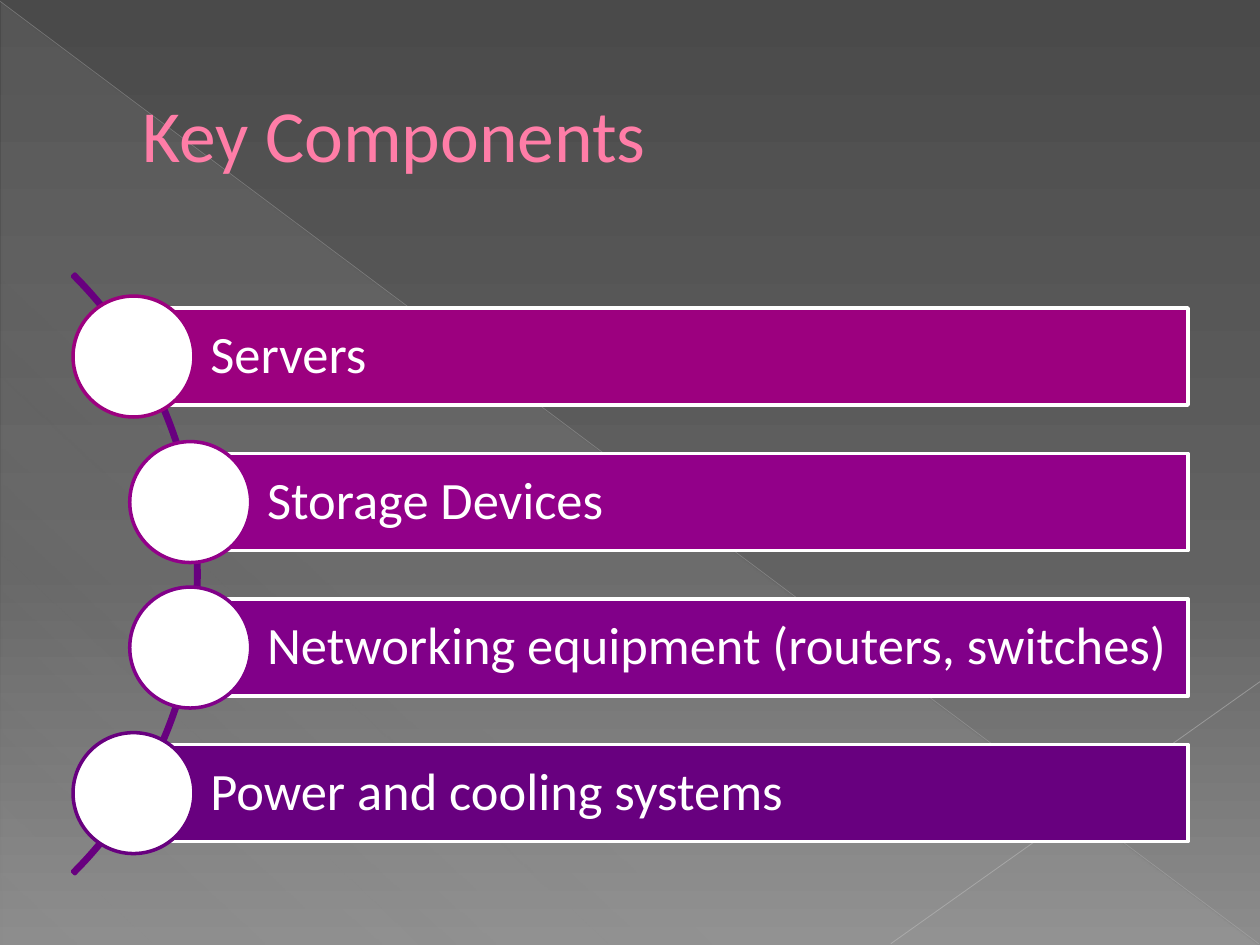
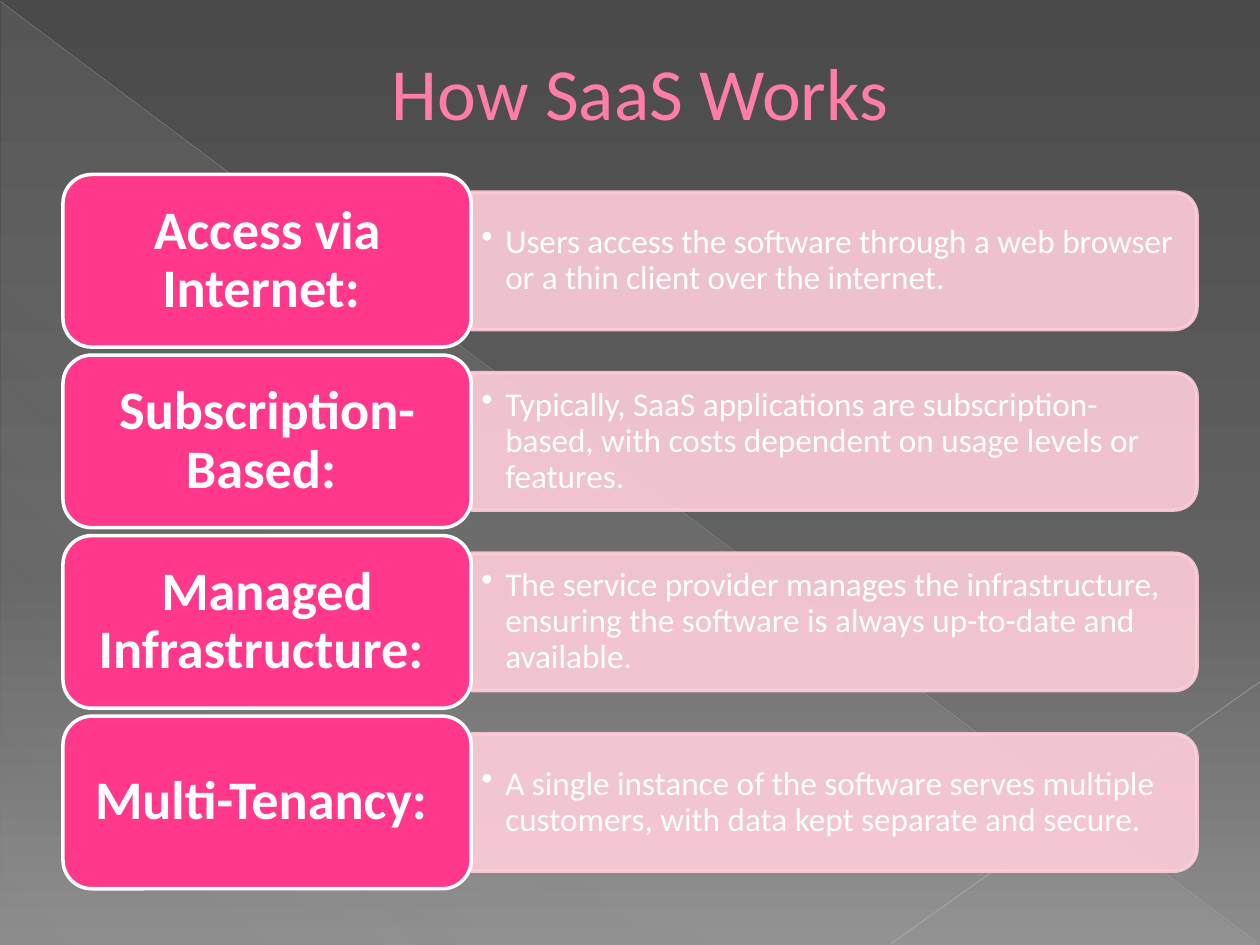
from lxml import etree
from pptx import Presentation
from pptx.dml.color import RGBColor
from pptx.enum import shapes, text
from pptx.oxml import ns, parse_xml
from pptx.util import Inches, Pt

FONT = "Calibri"
WHITE, PINK, TITLE_PINK, PALE_PINK, ARC = "FFFFFF", "FF388C", "FF7DA7", "FFCEDA", "68007F"

# Gradient stops: position %, colour, opacity %
BACKGROUND = [(0, "4A4A4A", 100), (60, "626262", 100), (100, "8C8C8C", 100)]
SHEEN = [(0, "D2D2D2", 10), (70, "D2D2D2", 8), (100, "D2D2D2", 1)]
# Start, end, colour, width, opacity %
DIAGONALS = [
    ((0, 0.01), (9.99, 7.49), "BFBFBF", 0.39, 35),
    ((10, 5.41), (7.07, 7.49), "C6C6C6", 0.47, 45),
]

# Text, colour, left edge of the bar
COMPONENTS = [
    ("Servers", "9C007F", 1.06),
    ("Storage Devices", "920089", 1.51),
    ("Networking equipment (routers, switches)", "810089", 1.51),
    ("Power and cooling systems", "68007F", 1.06),
]
SAAS_STEPS = [
    ("Access via Internet: ",
     "Users access the software through a web browser or a thin client over the internet."),
    ("Subscription-Based: ",
     "Typically, SaaS applications are subscription-based, with costs dependent on "
     "usage levels or features."),
    ("Managed Infrastructure: ",
     "The service provider manages the infrastructure, ensuring the software is always "
     "up-to-date and available."),
    ("Multi-Tenancy: ",
     "A single instance of the software serves multiple customers, with data kept "
     "separate and secure."),
]

BAR_FORMAT = dict(size=30, insets=(0.61, 0.08, 0.08, 0.08), spacing=0.9)
LABEL_FORMAT = dict(size=31, insets=(0.13, 0.06, 0.13, 0.06), spacing=0.9, bold=True,
                    align=text.PP_ALIGN.CENTER)
DETAIL_FORMAT = dict(size=19, insets=(0.08, 0.04, 0.08, 0.04), spacing=0.9)
TITLE_FORMAT = dict(size=42, insets=(0.63, 0.05, 0.1, 0.05), color=TITLE_PINK)


def rgb(color):
    return RGBColor.from_string(color)


def box(*lengths):
    return [Inches(n) for n in lengths]


def gradient(stops, angle):
    gs = "".join(
        f'<a:gs pos="{pos * 1000}"><a:srgbClr val="{color}">'
        f'<a:alpha val="{opacity * 1000}"/></a:srgbClr></a:gs>'
        for pos, color, opacity in stops)
    return parse_xml(f'<a:gradFill {ns.nsdecls("a")} rotWithShape="1"><a:gsLst>{gs}</a:gsLst>'
                     f'<a:lin ang="{angle * 60000}" scaled="0"/></a:gradFill>')


def set_opacity(fill_parent, percent):
    """Apply an opacity to the solid colour directly inside fill_parent."""
    clr = fill_parent.find(f'{ns.qn("a:solidFill")}/{ns.qn("a:srgbClr")}')
    etree.SubElement(clr, ns.qn("a:alpha")).set("val", str(percent * 1000))


def add_shape(slide, kind, at, fill=None, line=None):
    sp = slide.shapes.add_shape(kind, *box(*at))
    sp.shadow.inherit = False
    if fill:
        sp.fill.solid()
        sp.fill.fore_color.rgb = rgb(fill)
    else:
        sp.fill.background()
    if line:
        sp.line.color.rgb = rgb(line)
        sp.line.width = Pt(2)
    else:
        sp.line.fill.background()
    return sp


def write(sp, words, size, insets, spacing=1.0, color=WHITE, bold=False,
          align=text.PP_ALIGN.LEFT):
    tf = sp.text_frame
    frame = dict(zip(("margin_left", "margin_top", "margin_right", "margin_bottom"),
                     box(*insets)))
    frame.update(word_wrap=True, vertical_anchor=text.MSO_ANCHOR.MIDDLE)
    p = tf.paragraphs[0]
    r = p.add_run()
    for target, values in (
            (tf, frame),
            (p, dict(alignment=align, line_spacing=spacing)),
            (r, dict(text=words)),
            (r.font, dict(name=FONT, size=Pt(size), bold=bold))):
        for name, value in values.items():
            setattr(target, name, value)
    r.font.color.rgb = rgb(color)
    return p


def add_bullet(p, indent):
    pPr = p._p.get_or_add_pPr()
    pPr.set("marL", str(Inches(indent)))
    pPr.set("indent", str(-Inches(indent)))
    etree.SubElement(pPr, ns.qn("a:buChar")).set("char", "•")


def add_base_slide(prs, title, title_at):
    """Add a slide with the shared background, diagonals and title."""
    slide = prs.slides.add_slide(prs.slide_layouts[6])
    slide.background.fill.solid()
    bg = slide.element.find(f'.//{ns.qn("p:bgPr")}')
    bg.replace(bg[0], gradient(BACKGROUND, 90))

    sheen = add_shape(slide, shapes.MSO_SHAPE.RIGHT_TRIANGLE, (0.01, 0.02, 9.98, 7.48), WHITE)
    spPr = sheen._element.spPr
    spPr.replace(spPr.find(ns.qn("a:solidFill")), gradient(SHEEN, 133))

    for start, end, color, width, opacity in DIAGONALS:
        line = slide.shapes.add_connector(shapes.MSO_CONNECTOR.STRAIGHT, *box(*start, *end))
        line.line.color.rgb = rgb(color)
        line.line.width = Pt(width)
        spPr = line._element.spPr
        set_opacity(spPr.find(ns.qn("a:ln")), opacity)
        etree.SubElement(spPr, ns.qn("a:effectLst"))

    write(slide.shapes.add_textbox(*box(*title_at)), title, **TITLE_FORMAT)
    return slide


def add_components_slide(prs):
    slide = add_base_slide(prs, "Key Components", (0.5, 0.29, 9, 1.53))
    arc = add_shape(slide, shapes.MSO_SHAPE.BLOCK_ARC, (-5.15, 1.19, 6.73, 6.73), line=ARC)
    for i, value in enumerate((189, 27, 0.004)):
        arc.adjustments[i] = value

    right, first_middle, pitch, bar_h, dot = 9.43, 2.83, 1.155, 0.77, 0.96
    for i, (words, color, left) in enumerate(COMPONENTS):
        middle = first_middle + i * pitch
        bar = add_shape(slide, shapes.MSO_SHAPE.RECTANGLE,
                        (left, middle - bar_h / 2, right - left, bar_h), color, WHITE)
        write(bar, words, **BAR_FORMAT)
        add_shape(slide, shapes.MSO_SHAPE.OVAL,
                  (left - dot / 2, middle - dot / 2, dot, dot), WHITE, color)


def add_saas_slide(prs):
    slide = add_base_slide(prs, "How SaaS Works", (2.48, 0.21, 5.37, 1.02))
    left, first_middle, pitch = 0.5, 2.07, 1.433
    label_w, label_h = 3.24, 1.37
    panel_w, panel_h = 5.76, 1.09
    detail_w, detail_h = 5.71, 0.99
    panel_left = left + label_w
    for i, (label, detail) in enumerate(SAAS_STEPS):
        middle = first_middle + i * pitch
        # The panel stands upright and is turned so its round corners face right
        panel = add_shape(slide, shapes.MSO_SHAPE.ROUND_2_SAME_RECTANGLE,
                          (panel_left + (panel_w - panel_h) / 2, middle - panel_w / 2,
                           panel_h, panel_w), PALE_PINK, PALE_PINK)
        panel.rotation = 90
        spPr = panel._element.spPr
        for part in (spPr, spPr.find(ns.qn("a:ln"))):
            set_opacity(part, 90)
        tb = slide.shapes.add_textbox(
            *box(panel_left, middle - detail_h / 2, detail_w, detail_h))
        add_bullet(write(tb, detail, **DETAIL_FORMAT), 0.19)
        card = add_shape(slide, shapes.MSO_SHAPE.ROUNDED_RECTANGLE,
                         (left, middle - label_h / 2, label_w, label_h), PINK, WHITE)
        write(card, label, **LABEL_FORMAT)


def main():
    prs = Presentation()
    prs.slide_width, prs.slide_height = box(10, 7.5)
    add_components_slide(prs)
    add_saas_slide(prs)
    prs.save("out.pptx")


if __name__ == "__main__":
    main()
